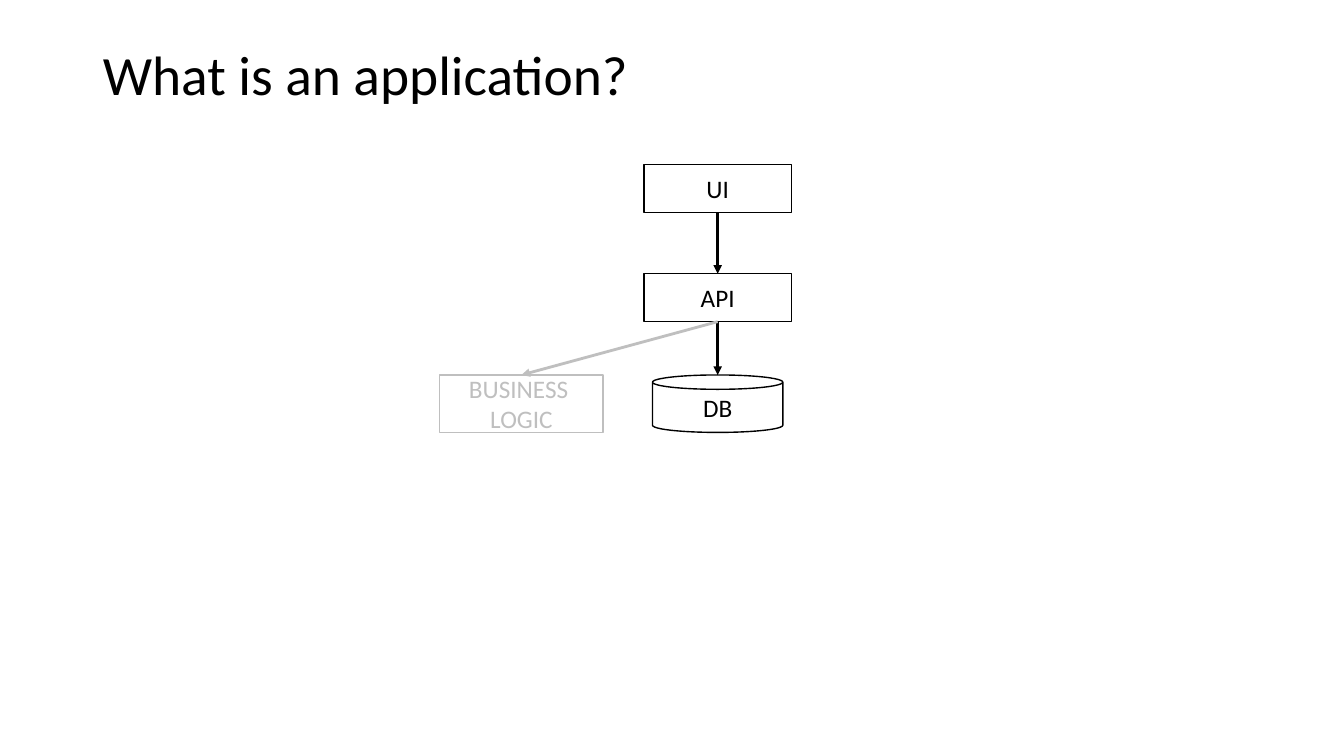
from dataclasses import dataclass

from lxml.etree import SubElement
from pptx import Presentation
from pptx.dml.color import RGBColor
from pptx.enum.shapes import MSO_CONNECTOR, MSO_SHAPE
from pptx.enum.text import MSO_ANCHOR, MSO_AUTO_SIZE, PP_ALIGN
from pptx.oxml.ns import qn
from pptx.slide import Slide
from pptx.text.text import TextFrame
from pptx.util import Inches, Pt

BLACK = RGBColor(0x00, 0x00, 0x00)
GREY = RGBColor(0xBF, 0xBF, 0xBF)
FONT = "Calibri"
SLIDE_WIDTH = Inches(13.33)
SLIDE_HEIGHT = Inches(7.5)

STACK_CENTER = 53.4
LOGIC_CENTER = 38.8
BOX_WIDTH, BOX_HEIGHT = 10.95, 6.35
STORE_TOP, STORE_HEIGHT = 49.6, 7.6


@dataclass(frozen=True)
class Component:
    label: str
    center: float
    top: float
    width: float
    height: float
    outline: MSO_SHAPE = MSO_SHAPE.RECTANGLE
    color: RGBColor = BLACK

    @property
    def left(self) -> float:
        return self.center - self.width / 2

    @property
    def bottom(self) -> float:
        return self.top + self.height


@dataclass(frozen=True)
class Call:
    caller: Component
    callee: Component


UI = Component("UI", STACK_CENTER, 21.75, BOX_WIDTH, BOX_HEIGHT)
API = Component("API", STACK_CENTER, 36.2, BOX_WIDTH, BOX_HEIGHT)
DATABASE = Component("DB", STACK_CENTER, STORE_TOP, 9.7, STORE_HEIGHT, MSO_SHAPE.CAN)
LOGIC = Component("BUSINESS \vLOGIC", LOGIC_CENTER, STORE_TOP, 12.15, STORE_HEIGHT, color=GREY)

COMPONENTS = (UI, API, DATABASE, LOGIC)
CALLS = (Call(UI, API), Call(API, DATABASE), Call(API, LOGIC))


def across(percent: float) -> int:
    return round(SLIDE_WIDTH * percent / 100)


def down(percent: float) -> int:
    return round(SLIDE_HEIGHT * percent / 100)


def write(frame: TextFrame, text: str, *, size: float, color: RGBColor = BLACK,
          align: PP_ALIGN = PP_ALIGN.CENTER, spacing: float = 1.0) -> None:
    frame.word_wrap = True
    frame.auto_size = MSO_AUTO_SIZE.NONE
    frame.vertical_anchor = MSO_ANCHOR.MIDDLE
    paragraph = frame.paragraphs[0]
    paragraph.text = text
    paragraph.alignment = align
    paragraph.line_spacing = spacing
    for run in paragraph.runs:
        run.font.name = FONT
        run.font.size = Pt(size)
        run.font.color.rgb = color


def draw_title(slide: Slide, text: str) -> None:
    title = slide.shapes.title
    title.left, title.top = across(6.9), down(5.33)
    title.width, title.height = across(86.25), down(9.75)
    write(title.text_frame, text, size=39.6, align=PP_ALIGN.LEFT, spacing=0.9)


def draw_component(slide: Slide, component: Component) -> None:
    box = slide.shapes.add_shape(
        component.outline, across(component.left), down(component.top),
        across(component.width), down(component.height))
    box.shadow.inherit = False
    box.fill.background()
    box.line.color.rgb = component.color
    box.line.width = Pt(1)
    write(box.text_frame, component.label, size=18, color=component.color)


def draw_call(slide: Slide, call: Call) -> None:
    arrow = slide.shapes.add_connector(
        MSO_CONNECTOR.STRAIGHT,
        across(call.caller.center), down(call.caller.bottom),
        across(call.callee.center), down(call.callee.top))
    arrow.line.color.rgb = call.callee.color
    arrow.line.width = Pt(2)
    properties = arrow.element.spPr
    SubElement(properties.find(qn("a:ln")), qn("a:tailEnd"), type="triangle")
    SubElement(properties, qn("a:effectLst"))


def main() -> None:
    presentation = Presentation()
    presentation.slide_width = SLIDE_WIDTH
    presentation.slide_height = SLIDE_HEIGHT
    slide = presentation.slides.add_slide(presentation.slide_layouts.get_by_name("Title Only"))
    draw_title(slide, "What is an application?")
    for component in COMPONENTS:
        draw_component(slide, component)
    for call in CALLS:
        draw_call(slide, call)
    presentation.save("out.pptx")


if __name__ == "__main__":
    main()
